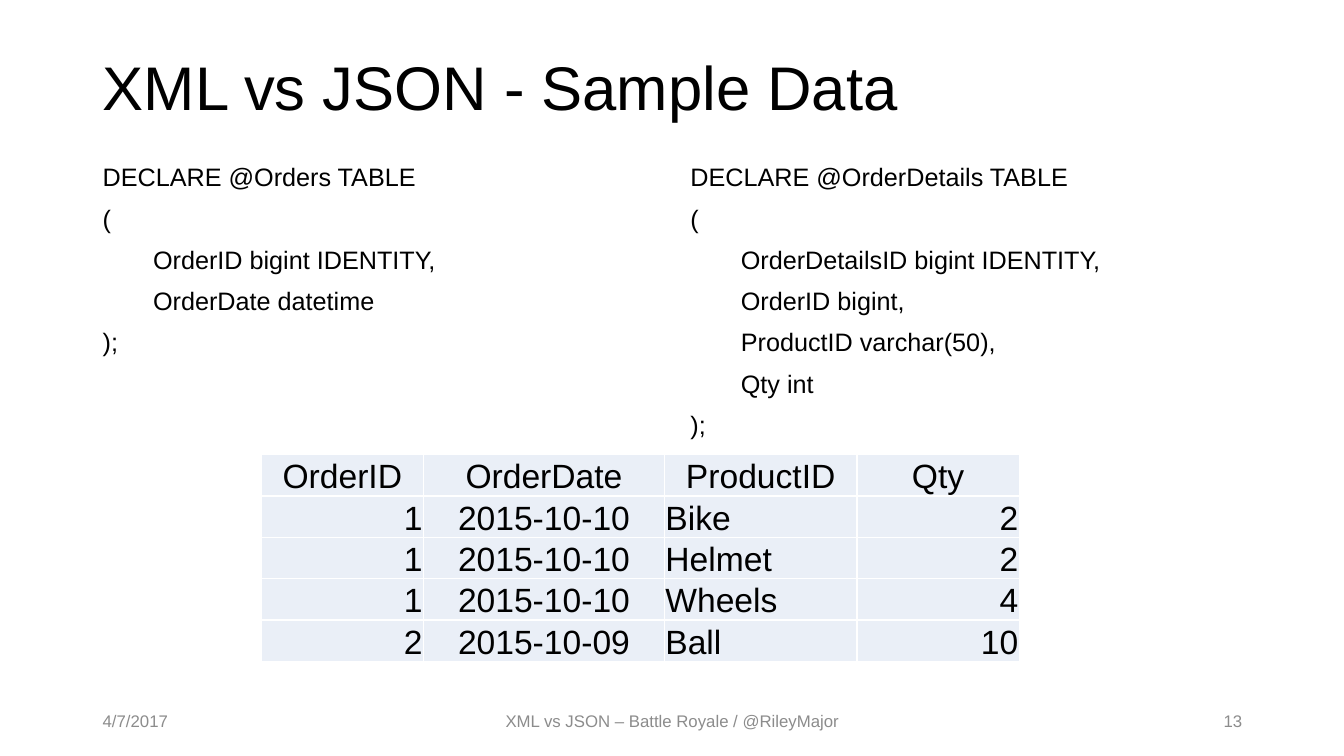
import pptx
import pptx.dml.color
import pptx.enum.shapes
import pptx.enum.text
import pptx.oxml
import pptx.util
from lxml import etree
from pptx.dml.color import RGBColor
from pptx.util import Inches, Pt

# Content
TITLE = "XML vs JSON - Sample Data"
DECLARATIONS = [
    ["DECLARE @Orders TABLE", "(", "\tOrderID bigint IDENTITY,",
     "\tOrderDate datetime", ");"],
    ["DECLARE @OrderDetails TABLE", "(", "\tOrderDetailsID bigint IDENTITY,",
     "\tOrderID bigint,", "\tProductID varchar(50),", "\tQty int", ");"],
]
ORDERS = [
    ("OrderID", "OrderDate", "ProductID", "Qty"),
    ("1", "2015-10-10", "Bike", "2"),
    ("1", "2015-10-10", "Helmet", "2"),
    ("1", "2015-10-10", "Wheels", "4"),
    ("2", "2015-10-09", "Ball", "10"),
]
DATE = "4/7/2017"
FOOTER = "XML vs JSON – Battle Royale / @RileyMajor"
PAGE_NUMBER = "13"

# Style
FONT = "Arial"
BLACK = RGBColor(0x00, 0x00, 0x00)
WHITE = RGBColor(0xFF, 0xFF, 0xFF)
GREY = RGBColor(0x8C, 0x8C, 0x8C)
CELL_BLUE = RGBColor(0xEA, 0xEF, 0xF7)
LEFT = pptx.enum.text.PP_ALIGN.LEFT
CENTER = pptx.enum.text.PP_ALIGN.CENTER
RIGHT = pptx.enum.text.PP_ALIGN.RIGHT
TOP = pptx.enum.text.MSO_ANCHOR.TOP
MIDDLE = pptx.enum.text.MSO_ANCHOR.MIDDLE
BOTTOM = pptx.enum.text.MSO_ANCHOR.BOTTOM

# Layout in inches
MARGIN = 0.92
CONTENT_WIDTH = 11.5
CODE_WIDTH = 5.67
CODE_STEP = CONTENT_WIDTH - CODE_WIDTH
FOOTER_TOP, FOOTER_HEIGHT, FOOTER_SIDE = 6.95, 0.4, 3
COLUMN_WIDTHS = [1.61, 2.39, 1.91, 1.61]
COLUMN_ALIGNMENTS = [RIGHT, CENTER, LEFT, RIGHT]
ROW_HEIGHT = 0.38


def format_text(text_frame, size, color, alignment=LEFT):
    for paragraph in text_frame.paragraphs:
        paragraph.alignment = alignment
        for run in paragraph.runs:
            run.font.name = FONT
            run.font.size = Pt(size)
            run.font.color.rgb = color


def add_text(slide, box, text, size, color, alignment=LEFT, anchor=MIDDLE):
    shape = slide.shapes.add_textbox(*[Inches(length) for length in box])
    text_frame = shape.text_frame
    text_frame.word_wrap = True
    text_frame.vertical_anchor = anchor
    text_frame.text = text
    format_text(text_frame, size, color, alignment)
    return shape


def set_borders(cell, color):
    properties = cell._tc.get_or_add_tcPr()
    for position, side in enumerate(("lnL", "lnR", "lnT", "lnB")):
        line = etree.Element(pptx.oxml.ns.qn(f"a:{side}"), w=str(Pt(1)))
        fill = etree.SubElement(line, pptx.oxml.ns.qn("a:solidFill"))
        etree.SubElement(fill, pptx.oxml.ns.qn("a:srgbClr"), val=str(color))
        properties.insert(position, line)


def add_orders_table(slide):
    frame = slide.shapes.add_table(
        len(ORDERS), len(COLUMN_WIDTHS), Inches(2.59), Inches(4.51),
        Inches(sum(COLUMN_WIDTHS)), Inches(ROW_HEIGHT * len(ORDERS)))
    table = frame.table
    for column, width in zip(table.columns, COLUMN_WIDTHS):
        column.width = Inches(width)
    for row_index, values in enumerate(ORDERS):
        table.rows[row_index].height = Inches(ROW_HEIGHT)
        for column_index, value in enumerate(values):
            cell = table.cell(row_index, column_index)
            cell.text = value
            cell.vertical_anchor = BOTTOM
            cell.margin_left = cell.margin_right = cell.margin_top = Inches(0.01)
            cell.margin_bottom = 0
            cell.fill.solid()
            cell.fill.fore_color.rgb = CELL_BLUE
            set_borders(cell, WHITE)
            alignment = COLUMN_ALIGNMENTS[column_index] if row_index else CENTER
            format_text(cell.text_frame, 24, BLACK, alignment)


def add_footer(slide):
    right_edge = MARGIN + CONTENT_WIDTH
    add_text(slide, (MARGIN, FOOTER_TOP, FOOTER_SIDE, FOOTER_HEIGHT), DATE, 12, GREY)

    # Centre note on a translucent white band
    band = slide.shapes.add_shape(
        pptx.enum.shapes.MSO_SHAPE.RECTANGLE, Inches(4.42), Inches(FOOTER_TOP),
        Inches(4.5), Inches(FOOTER_HEIGHT))
    band.shadow.inherit = False
    band.line.fill.background()
    band.fill.solid()
    band.fill.fore_color.rgb = WHITE
    white = band.fill._xPr.find(".//" + pptx.oxml.ns.qn("a:srgbClr"))
    etree.SubElement(white, pptx.oxml.ns.qn("a:alpha"), val="70000")
    band.text_frame.word_wrap = True
    band.text_frame.vertical_anchor = MIDDLE
    band.text_frame.text = FOOTER
    format_text(band.text_frame, 12, GREY, CENTER)

    add_text(slide, (right_edge - FOOTER_SIDE, FOOTER_TOP, FOOTER_SIDE, FOOTER_HEIGHT),
             PAGE_NUMBER, 12, GREY, RIGHT)


def main():
    presentation = pptx.Presentation()
    presentation.slide_width = Inches(13.33)
    presentation.slide_height = Inches(7.5)
    slide = presentation.slides.add_slide(presentation.slide_layouts[6])

    # Title
    title = add_text(slide, (MARGIN, 0.4, CONTENT_WIDTH, 1), TITLE, 44, BLACK)
    title.text_frame.paragraphs[0].line_spacing = 0.9

    # Table declarations side by side
    for index, lines in enumerate(DECLARATIONS):
        box = (MARGIN + index * CODE_STEP, 1.59, CODE_WIDTH, 5.16)
        code = add_text(slide, box, "\n".join(lines), 18, BLACK, anchor=TOP)
        for paragraph in code.text_frame.paragraphs:
            paragraph.line_spacing = 0.9
            paragraph.space_before = Pt(10)

    add_orders_table(slide)
    add_footer(slide)
    presentation.save("out.pptx")


if __name__ == "__main__":
    main()
